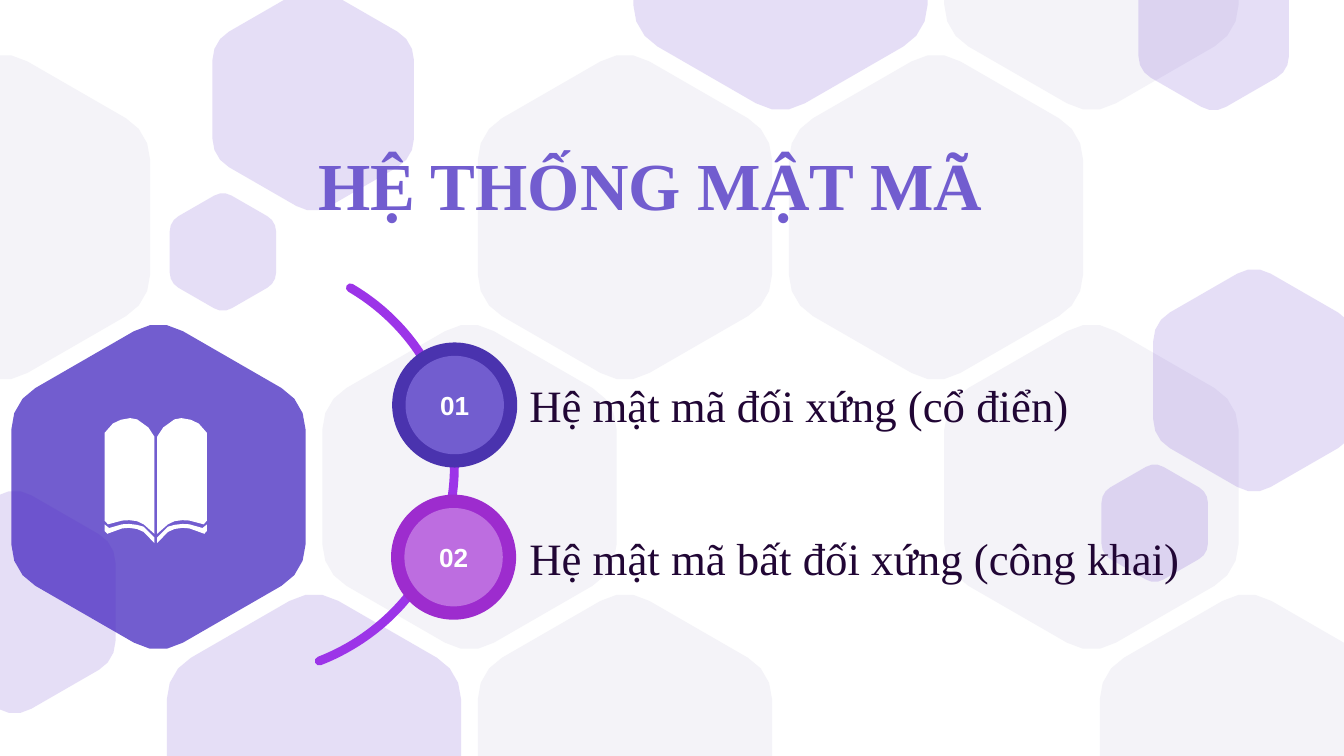
from lxml import etree
from pptx import Presentation
from pptx.dml.color import RGBColor
from pptx.enum import shapes, text
from pptx.oxml.ns import qn
from pptx.util import Pt

# Content
TITLE = "HỆ THỐNG MẬT MÃ"
# number, label, ring colour, disc colour, badge centre, label top, label width
ITEMS = [
    ("01", "Hệ mật mã đối xứng (cổ điển)", "indigo", "violet", (243.6, 217), 198.7, 352.8),
    ("02", "Hệ mật mã bất đối xứng (công khai)", "purple", "orchid", (243, 298.5), 280.8, 387.4),
]

THEME = {
    "violet": "725DCF", "indigo": "4A33AE", "purple": "9D2CCE", "orchid": "BD6DE0",
    "arc": "9C34E8", "ink": "210635", "white": "FFFFFF", "mist": "F4F3F8", "lilac": "5322C9",
    "serif": "Times New Roman", "sans": "Arial",
    "title_size": 36, "label_size": 24, "badge_size": 14,
}
SLIDE_W, SLIDE_H = 720, 405

# Honeycomb cells: column, row, colour
CELLS = [
    (5, 0, "lilac"), (7, 0, "mist"),
    (2, 3, "lilac"), (4, 3, "mist"), (8, 3, "mist"),
    (1, 2, "violet"), (3, 2, "mist"), (7, 2, "mist"),
    (0, 1, "mist"), (4, 1, "mist"), (6, 1, "mist"),
]
CELL_W, COLUMN_STEP, ROW_STEP = 157.7, 83.3, 144.5
CELL_X, CELL_Y = 1.6, -28.1

# Loose hexagons: centre x, centre y, width
LOOSE = [
    (671.8, 203.8, 108), (167.8, 53.3, 108), (7.9, 322.6, 108),
    (119.4, 135, 57), (618.6, 280.3, 57), (650.2, 14.6, 80.6),
]

# Half of the open book: distance from the spine, distance below the top
SPINE_X, BOOK_TOP = 83.5, 224
PAGE = [
    (13.7, 0), (18.7, 0.9), (23, 2.9), (27.4, 7.9), (27.4, 55), (25.6, 56.9), (18, 54.9),
    (14.2, 54.7), (10.1, 55.2), (6.5, 56.9), (0.7, 62), (0.7, 10), (4, 5), (10, 0.7),
]
COVER = [
    (27.4, 57), (27.4, 60.5), (26, 62), (18, 59.1), (14.3, 58.8), (10.1, 59.4), (6.5, 61),
    (0.7, 67), (0.7, 64), (6.5, 58.2), (10.1, 57.2), (14.3, 56.7), (18, 56.9), (25, 58.9),
]

# Rounded hexagon of width 1: side end, its corner curve, and the curve over the tip
SIDE = 0.194
CORNER = [(0.5, SIDE), (0.5, 0.253), (0.468, 0.308), (0.418, 0.336)]
TIP = [(0.083, 0.529), (0.032, 0.56), (-0.032, 0.56), (-0.083, 0.529)]


def rgb(name):
    return RGBColor.from_string(THEME[name])


def curve(controls, steps=3):
    """Points along a cubic Bezier curve."""
    for i in range(steps + 1):
        t = i / steps
        weights = ((1 - t) ** 3, 3 * t * (1 - t) ** 2, 3 * t * t * (1 - t), t ** 3)
        yield tuple(sum(w * c[axis] for w, c in zip(weights, controls)) for axis in (0, 1))


def paint(shape, colour, alpha=None):
    shape.shadow.inherit = False
    shape.fill.solid()
    shape.fill.fore_color.rgb = rgb(colour)
    shape.line.fill.background()
    if alpha:
        swatch = shape._element.spPr.find(qn("a:solidFill"))[0]
        etree.SubElement(swatch, qn("a:alpha")).set("val", str(alpha * 1000))


def outline(slide, points, colour, alpha=None):
    corners = [(Pt(x), Pt(y)) for x, y in points]
    builder = slide.shapes.build_freeform(*corners[0], scale=1.0)
    builder.add_line_segments(corners[1:], close=True)
    paint(builder.convert_to_shape(), colour, alpha)


def hexagon(slide, cx, cy, width, colour):
    corner = list(curve(CORNER))
    lower = corner + list(curve(TIP)) + [(-x, y) for x, y in reversed(corner)]
    unit = lower + [(-x, -y) for x, y in lower]
    # A hexagon whose upright sides cross the slide edge is cut there
    low, high = -cy / width, (SLIDE_H - cy) / width
    if low > -SIDE:
        unit = [(x, max(y, low)) for x, y in unit if y >= low or abs(x) == 0.5]
    if high < SIDE:
        unit = [(x, min(y, high)) for x, y in unit if y <= high or abs(x) == 0.5]
    outline(slide, [(cx + x * width, cy + y * width) for x, y in unit], colour,
            15 if colour == "lilac" else None)


def write(frame, words, font, size, colour, bold=False, align=text.PP_ALIGN.LEFT):
    paragraph = frame.paragraphs[0]
    paragraph.alignment = align
    run = paragraph.add_run()
    run.text = words
    run.font.name = THEME[font]
    run.font.size = Pt(THEME[size])
    run.font.bold = bold
    run.font.color.rgb = rgb(colour)
    return paragraph


def disc(slide, centre, diameter, colour):
    left, top = (c - diameter / 2 for c in centre)
    circle = slide.shapes.add_shape(shapes.MSO_SHAPE.OVAL, Pt(left), Pt(top),
                                    Pt(diameter), Pt(diameter))
    paint(circle, colour)
    return circle


def main():
    deck = Presentation()
    deck.slide_width, deck.slide_height = Pt(SLIDE_W), Pt(SLIDE_H)
    slide = deck.slides.add_slide(deck.slide_layouts[5])

    # Background hexagons
    for column, row, colour in CELLS:
        hexagon(slide, CELL_X + column * COLUMN_STEP, CELL_Y + row * ROW_STEP, CELL_W, colour)
    for cx, cy, width in LOOSE:
        hexagon(slide, cx, cy, width, "lilac")

    # Title, brought in front of the background
    title = slide.shapes.title
    slide.shapes._spTree.append(title._element)
    title.left, title.top, title.width, title.height = Pt(170.6), Pt(55.4), Pt(378.7), Pt(91.4)
    frame = title.text_frame
    frame.margin_left = frame.margin_right = frame.margin_top = frame.margin_bottom = 0
    frame.vertical_anchor = text.MSO_ANCHOR.MIDDLE
    frame.auto_size = text.MSO_AUTO_SIZE.NONE
    frame.word_wrap = True
    write(frame, TITLE, "serif", "title_size", "violet", bold=True).line_spacing = 0.9

    # Arc behind the badges
    arc = slide.shapes.add_shape(shapes.MSO_SHAPE.BLOCK_ARC, Pt(13.7), Pt(138.2),
                                 Pt(229.7), Pt(223.9))
    for i, value in enumerate((181, 40.66, 0)):
        arc.adjustments[i] = value
    arc.shadow.inherit = False
    arc.fill.background()
    arc.line.color.rgb = rgb("arc")
    arc.line.width = Pt(4.75)
    arc._element.spPr.find(qn("a:ln")).set("cap", "rnd")

    # Numbered items
    for number, label, ring, inner, centre, top, width in ITEMS:
        box = slide.shapes.add_textbox(Pt(276.5), Pt(top), Pt(width), Pt(36))
        box.text_frame.word_wrap = True
        write(box.text_frame, label, "serif", "label_size", "ink")
        disc(slide, centre, 67, ring)
        badge = disc(slide, centre, 52.7, inner)
        badge.text_frame.vertical_anchor = text.MSO_ANCHOR.MIDDLE
        write(badge.text_frame, number, "sans", "badge_size", "white", True,
              text.PP_ALIGN.CENTER)

    # Open book, mirrored about its spine
    for part in (COVER, PAGE):
        for side in (-1, 1):
            outline(slide, [(SPINE_X + side * x, BOOK_TOP + y) for x, y in part], "white")

    deck.save("out.pptx")


if __name__ == "__main__":
    main()
